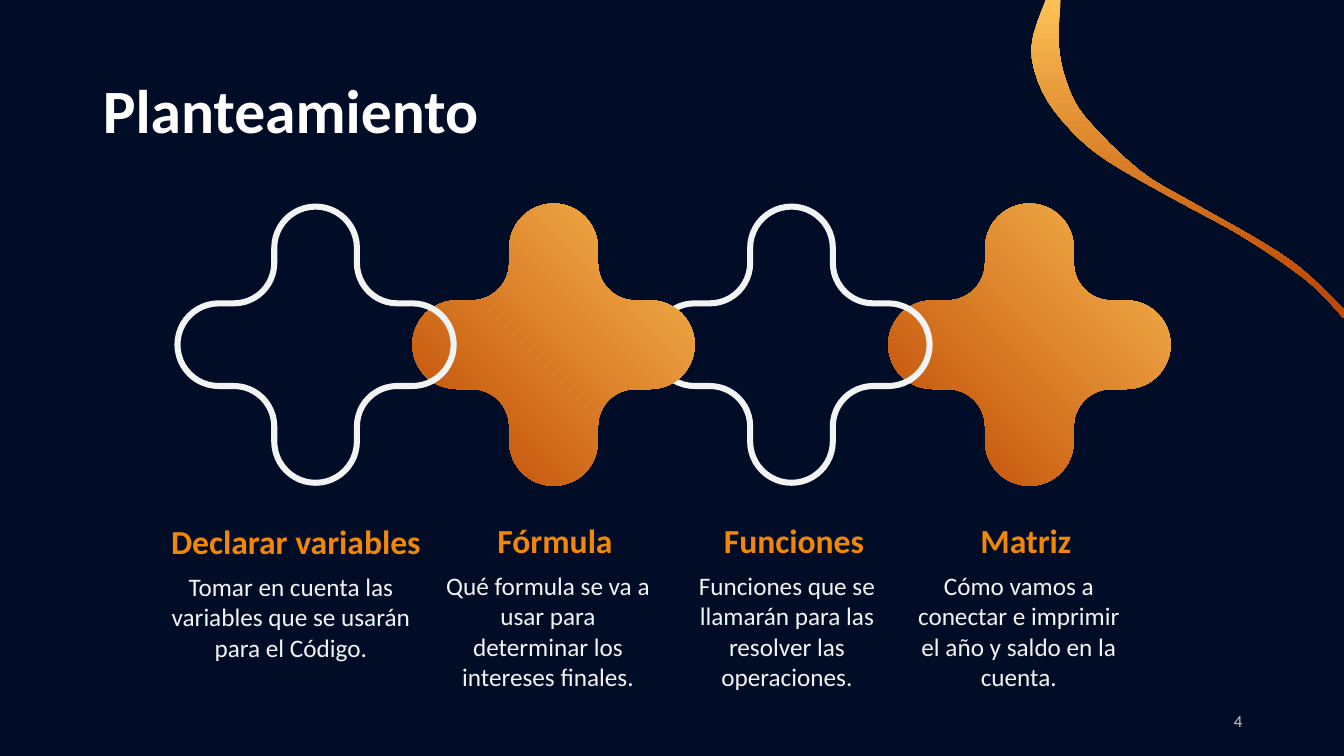
from math import cos, sin, radians

from lxml.etree import Element
from pptx import Presentation
from pptx.dml.color import RGBColor
from pptx.enum.text import MSO_ANCHOR, MSO_AUTO_SIZE, PP_ALIGN
from pptx.oxml.ns import qn
from pptx.util import Inches, Pt

NAVY = RGBColor(0x01, 0x0D, 0x26)
GOLD = RGBColor(0xFC, 0xC1, 0x55)
RUST = RGBColor(0xBF, 0x49, 0x04)
ORANGE = RGBColor(0xF2, 0x87, 0x05)
PALE = RGBColor(0xF2, 0xF3, 0xF3)
GREY = RGBColor(0xC0, 0xC4, 0xC1)
WHITE = RGBColor(0xFF, 0xFF, 0xFF)
FONT = "Calibri"

# All lengths are cells of a one-inch grid
WIDTH, HEIGHT = 13.33, 7.5

# Cross geometry: arm reach, arm radius, centre of the inner corners, band width
REACH, RADIUS, CORNER, BAND = 0.96, 0.44, 0.81, 0.06

RIBBON_OUTER = [(13.33, 3.07), (12.9, 2.66), (12.43, 2.35), (11.81, 2),
                (11.3, 1.69), (10.77, 1.17), (10.58, 0.82), (10.5, 0.44),
                (10.52, 0)]
RIBBON_INNER = [(10.37, 0), (10.23, 0.47), (10.34, 0.91), (10.62, 1.29),
                (10.99, 1.6), (11.69, 2), (12.33, 2.35), (12.97, 2.79),
                (13.33, 3.16)]

# Left, heading width, body width, top of body, heading, body
STAGES = [
    (1.55, 2.77, 2.67, 5.62, "Declarar variables",
     "Tomar en cuenta las variables que se usarán para el Código."),
    (4.38, 2.25, 2.11, 5.61, "Fórmula",
     "Qué formula se va a usar para determinar los intereses finales."),
    (6.75, 2.25, 2.11, 5.61, "Funciones",
     "Funciones que se llamarán para las resolver las operaciones."),
    (9.05, 2.25, 2.11, 5.61, "Matriz",
     "Cómo vamos a conectar e imprimir el año y saldo en la cuenta."),
]


def smooth(knots):
    """Steps of a smooth curve through the knots."""
    padded = [knots[0], *knots, knots[-1]]
    points = [knots[0]]
    for a, b, c, d in zip(padded, padded[1:], padded[2:], padded[3:]):
        for t in (0.25, 0.5, 0.75, 1):
            points.append(tuple(
                q + t * (r - p) / 2
                + t * t * (2 * p - 5 * q + 4 * r - s) / 2
                + t ** 3 * (3 * q - p - 3 * r + s) / 2
                for p, q, r, s in zip(a, b, c, d)))
    return [(x, y, None) for x, y in points]


def cross_outline(cx, cy, inset=0):
    """Steps (x, y, arc) of a diagonal cross, turned upright by rotation."""
    radius = RADIUS - inset
    fillet = CORNER - radius
    steps = []
    for turn in range(-45, 315, 90):
        cos_t, sin_t = cos(radians(turn)), sin(radians(turn))

        def place(x, y, arc=None):
            steps.append((cx + x * cos_t - y * sin_t,
                          cy + x * sin_t + y * cos_t, arc))

        # Round end of the arm
        place(REACH, -radius)
        for start, end in ((-90, -45), (-45, 45), (45, 90)):
            place(REACH + radius * cos(radians(end)), radius * sin(radians(end)),
                  (radius, start + turn, end - start))
        # Inner corner towards the next arm
        place(CORNER, radius)
        place(radius, CORNER, (fillet, turn - 90, -90))
    return steps


def add_outline(s, *contours):
    first = contours[0][0]
    builder = s.shapes.build_freeform(Inches(first[0]), Inches(first[1]), scale=1.0)
    for contour in contours:
        points = [(Inches(x), Inches(y)) for x, y, _ in contour]
        if contour is not contours[0]:
            builder.move_to(*points[0])
        builder.add_line_segments(points[1:], close=True)
    sp = builder.convert_to_shape()
    # Turn the steps that bend into true arcs
    arcs = [arc for contour in contours for _, _, arc in contour[1:]]
    for line, arc in zip(list(sp._element.iter(qn("a:lnTo"))), arcs):
        if arc:
            radius, start, sweep = arc
            bend = Element(qn("a:arcTo"), wR=str(Inches(radius)), hR=str(Inches(radius)),
                           stAng=str(start % 360 * 60000), swAng=str(sweep * 60000))
            line.getparent().replace(line, bend)
    sp.shadow.inherit = False
    sp.line.fill.background()
    return sp


def fill_gradient(sp):
    sp.fill.gradient()
    sp.fill.gradient_angle = 270
    for stop, color, position in zip(sp.fill.gradient_stops, (GOLD, RUST), (0, 0.92)):
        stop.color.rgb = color
        stop.position = position


def write(tf, text, size, color, bold=False, align=PP_ALIGN.CENTER):
    p = tf.paragraphs[0]
    p.alignment = align
    r = p.add_run()
    r.text = text
    r.font.name, r.font.size, r.font.bold = FONT, Pt(size), bold
    r.font.color.rgb = color
    return p


def add_text(s, box, text, size, color, bold=False, align=PP_ALIGN.CENTER,
             anchor=MSO_ANCHOR.TOP, margin=0):
    tf = s.shapes.add_textbox(*map(Inches, box)).text_frame
    tf.word_wrap = True
    tf.vertical_anchor = anchor
    tf.margin_left = tf.margin_right = Inches(margin)
    write(tf, text, size, color, bold, align)


def add_ribbon(s):
    fill_gradient(add_outline(s, smooth(RIBBON_OUTER) + smooth(RIBBON_INNER)))


def add_chain(s, left, top, size, pitch):
    """Four linked crosses; each one overlaps the next."""
    cy = top + size / 2
    for i in reversed(range(4)):
        cx = left + size / 2 + i * pitch
        if i % 2:
            sp = add_outline(s, cross_outline(cx, cy))
            fill_gradient(sp)
        else:
            sp = add_outline(s, cross_outline(cx, cy), cross_outline(cx, cy, BAND))
            sp.fill.solid()
            sp.fill.fore_color.rgb = PALE
        sp.rotation = 45


def add_stage(s, left, head_width, body_width, top, heading, body):
    add_text(s, (left, top - 0.5, head_width, 0.5), heading, 24, ORANGE,
             bold=True, anchor=MSO_ANCHOR.BOTTOM)
    add_text(s, (left, top, body_width, 1.31), body, 18, PALE)


def add_title(s, left, top, width, height):
    title = s.shapes.title
    title.left, title.top = Inches(left), Inches(top)
    title.width, title.height = Inches(width), Inches(height)
    tf = title.text_frame
    tf.word_wrap = True
    tf.auto_size = MSO_AUTO_SIZE.NONE
    tf.vertical_anchor = MSO_ANCHOR.MIDDLE
    p = write(tf, "Planteamiento", 44, WHITE, bold=True, align=PP_ALIGN.LEFT)
    p.line_spacing = 0.9


def main():
    prs = Presentation()
    prs.slide_width, prs.slide_height = Inches(WIDTH), Inches(HEIGHT)
    s = prs.slides.add_slide(prs.slide_layouts[5])
    s.background.fill.solid()
    s.background.fill.fore_color.rgb = NAVY

    add_ribbon(s)
    add_chain(s, left=1.73, top=2.02, size=2.8, pitch=2.36)
    add_title(s, 0.92, 0.4, 11.5, 1.45)
    for stage in STAGES:
        add_stage(s, *stage)
    # Slide number
    add_text(s, (9.42, 6.95, 3, 0.4), "4", 12, GREY, align=PP_ALIGN.RIGHT,
             anchor=MSO_ANCHOR.MIDDLE, margin=0.1)
    prs.save("out.pptx")


if __name__ == "__main__":
    main()
